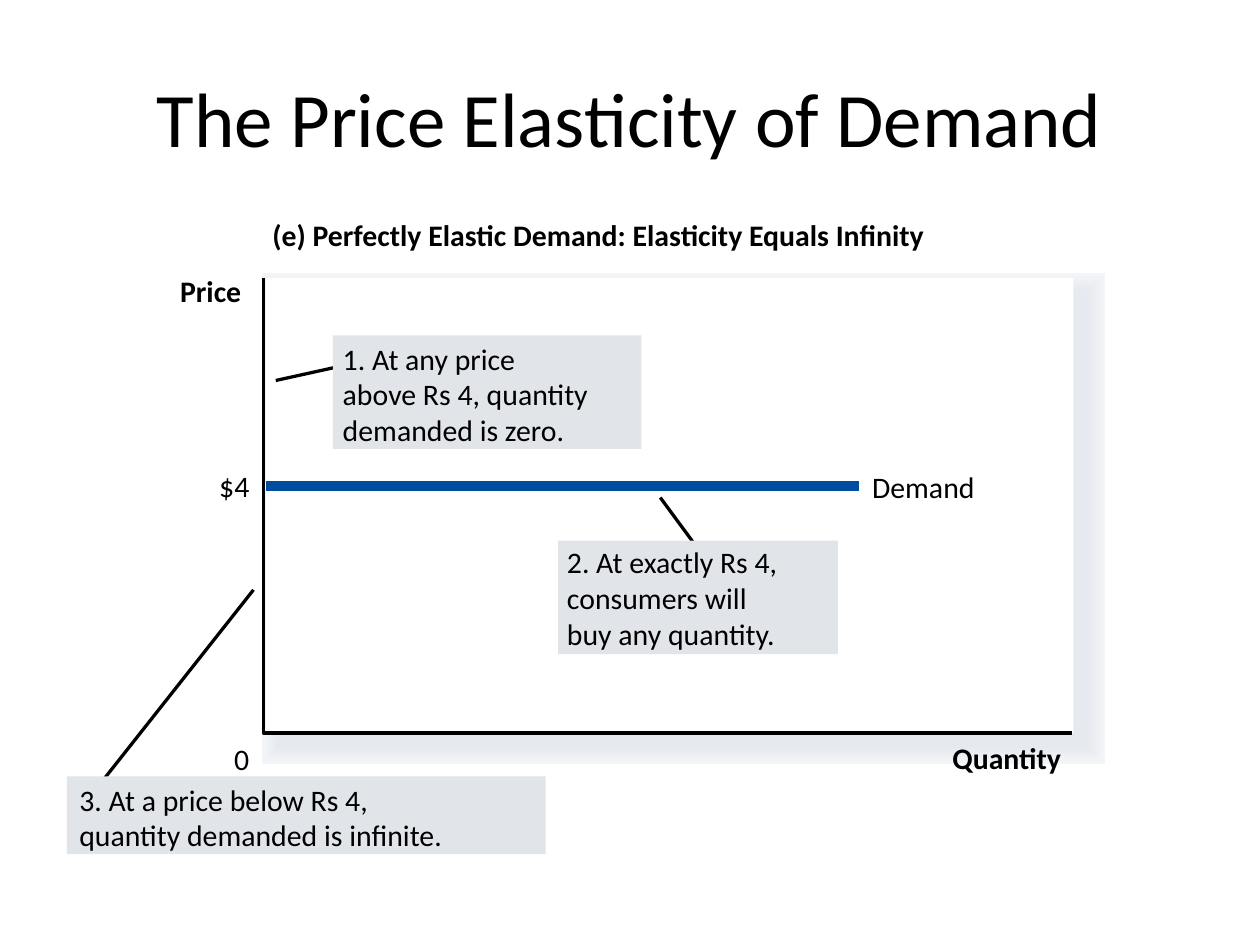
from lxml import etree
from pptx import Presentation
from pptx.dml.color import RGBColor
from pptx.enum.shapes import MSO_CONNECTOR, MSO_SHAPE
from pptx.enum.text import MSO_ANCHOR, MSO_AUTO_SIZE, PP_ALIGN
from pptx.oxml.ns import qn
from pptx.util import Cm, Pt

RECT = MSO_SHAPE.RECTANGLE
STRAIGHT = MSO_CONNECTOR.STRAIGHT
FIT = MSO_AUTO_SIZE.SHAPE_TO_FIT_TEXT
MIDDLE = MSO_ANCHOR.MIDDLE
CENTER = PP_ALIGN.CENTER

BLACK = RGBColor(0x00, 0x00, 0x00)
WHITE = RGBColor(0xFF, 0xFF, 0xFF)
BLUE = RGBColor(0x00, 0x4C, 0x9F)
GREY = RGBColor(0xE1, 0xE5, 0xE9)
HALO = [RGBColor.from_string(c) for c in (
    "F3F6F9", "F2F4F8", "F1F4F7", "F0F2F5", "EEF1F4", "EDEFF3",
    "EBEEF2", "EAECF1", "E9EBF0", "E7EAEF", "E6E9EF")]

FONT = "Calibri"
SIZE = 17
THIN = 1.88      # points, also the step between halo rings
THICK = 5.63
ROW = 0.71       # text height, cm
PITCH = 0.72     # distance between callout lines, cm

# Content; all lengths in cm
TITLE = "The Price Elasticity of Demand"
PANEL = (5.36, 5.61, 16.28, 9.17)
SHADE = (5.64, 5.87, 16.28, 9.17)
AXES = [(5.31, 5.61), (5.31, 14.78), (21.62, 14.78)]

# text, left, top, width, bold
LABELS = [
    ("(e) Perfectly Elastic Demand: Elasticity Equals Infinity",
     5.49, 4.37, 15.37, True),
    ("Quantity", 19.2, 14.91, 2.44, True),
    ("0", 4.72, 14.94, 0.33, False),
    ("Price", 3.63, 5.49, 1.47, True),
]
CURVE = (17.32, 9.8, 5.36, 9.8)
MARKS = [("$4", 4.42, 9.42, 0.66, False),
         ("Demand", 17.58, 9.45, 2.26, False)]

# lead line, box, text corner, lines with their widths
NOTES = [
    ((13.31, 10.03, 14.12, 11.13), (11.25, 10.9, 5.64, 2.29), (11.43, 10.97),
     [("2. At exactly Rs 4,", 5.03), ("consumers will", 3.94),
      ("buy any quantity.", 4.55)]),
    ((5.56, 7.67, 6.83, 7.39), (6.71, 6.76, 6.22, 2.29), (6.91, 6.86),
     [("1. At any price", 3.84), ("above Rs 4, quantity", 5.54),
      ("demanded is zero.", 4.95)]),
    ((2.06, 15.75, 5.11, 11.89), (1.35, 15.65, 9.65, 1.57), (1.6, 15.75),
     [("3. At a price below Rs 4,", 6.55),
      ("quantity demanded is infinite.", 7.8)]),
]


def style(frame, size, bold=False):
    font = frame.paragraphs[0].runs[0].font
    font.name, font.size, font.bold = FONT, Pt(size), bold
    font.color.rgb = BLACK


def add_text(shapes, text, left, top, width, bold=False):
    box = shapes.add_textbox(Cm(left), Cm(top), Cm(width), Cm(ROW))
    frame = box.text_frame
    frame.margin_left = frame.margin_right = 0
    frame.margin_top = frame.margin_bottom = 0
    frame.word_wrap = False
    frame.auto_size = FIT
    frame.text = text
    style(frame, SIZE, bold)


def add_rect(shapes, area, fill, width=0):
    rect = shapes.add_shape(RECT, *map(Cm, area))
    rect.shadow.inherit = False
    rect.fill.solid()
    rect.fill.fore_color.rgb = fill
    if width:
        rect.line.color.rgb = fill
        rect.line.width = Pt(width)
        # Square corners on the outline
        line = rect.line._get_or_add_ln()
        etree.SubElement(line, qn("a:miter"), lim="800000")
    else:
        rect.line.fill.background()


def add_line(shapes, ends, color, width):
    line = shapes.add_connector(STRAIGHT, *map(Cm, ends))
    line.line.color.rgb = color
    line.line.width = Pt(width)
    etree.SubElement(line._element.spPr, qn("a:effectLst"))


def main():
    deck = Presentation()
    deck.slide_width, deck.slide_height = Cm(25.4), Cm(19.05)
    slide = deck.slides.add_slide(deck.slide_layouts[6])
    shapes = slide.shapes

    # Title
    frame = shapes.add_textbox(
        Cm(1.27), Cm(0.76), Cm(22.86), Cm(3.18)).text_frame
    frame.word_wrap = True
    frame.vertical_anchor = MIDDLE
    frame.text = TITLE
    frame.paragraphs[0].alignment = CENTER
    style(frame, 44)

    # Soft halo, from the widest ring inwards, then the plot panel
    for i, color in enumerate(HALO):
        add_rect(shapes, SHADE, color, THIN * (len(HALO) - i))
    add_rect(shapes, PANEL, WHITE)

    # Axes
    start, *rest = [(Cm(x), Cm(y)) for x, y in AXES]
    pen = shapes.build_freeform(*start)
    pen.add_line_segments(rest, close=False)
    axes = pen.convert_to_shape()
    axes.shadow.inherit = False
    axes.fill.background()
    axes.line.color.rgb = BLACK
    axes.line.width = Pt(THIN)

    for label in LABELS:
        add_text(shapes, *label)

    # Demand curve with its price and name
    group = shapes.add_group_shape().shapes
    add_line(group, CURVE, BLUE, THICK)
    for mark in MARKS:
        add_text(group, *mark)

    # Callouts
    for lead, area, (left, top), lines in NOTES:
        group = shapes.add_group_shape().shapes
        add_line(group, lead, BLACK, THIN)
        add_rect(group, area, GREY)
        for i, (text, width) in enumerate(lines):
            add_text(group, text, left, top + i * PITCH, width)

    deck.save("out.pptx")


if __name__ == "__main__":
    main()
